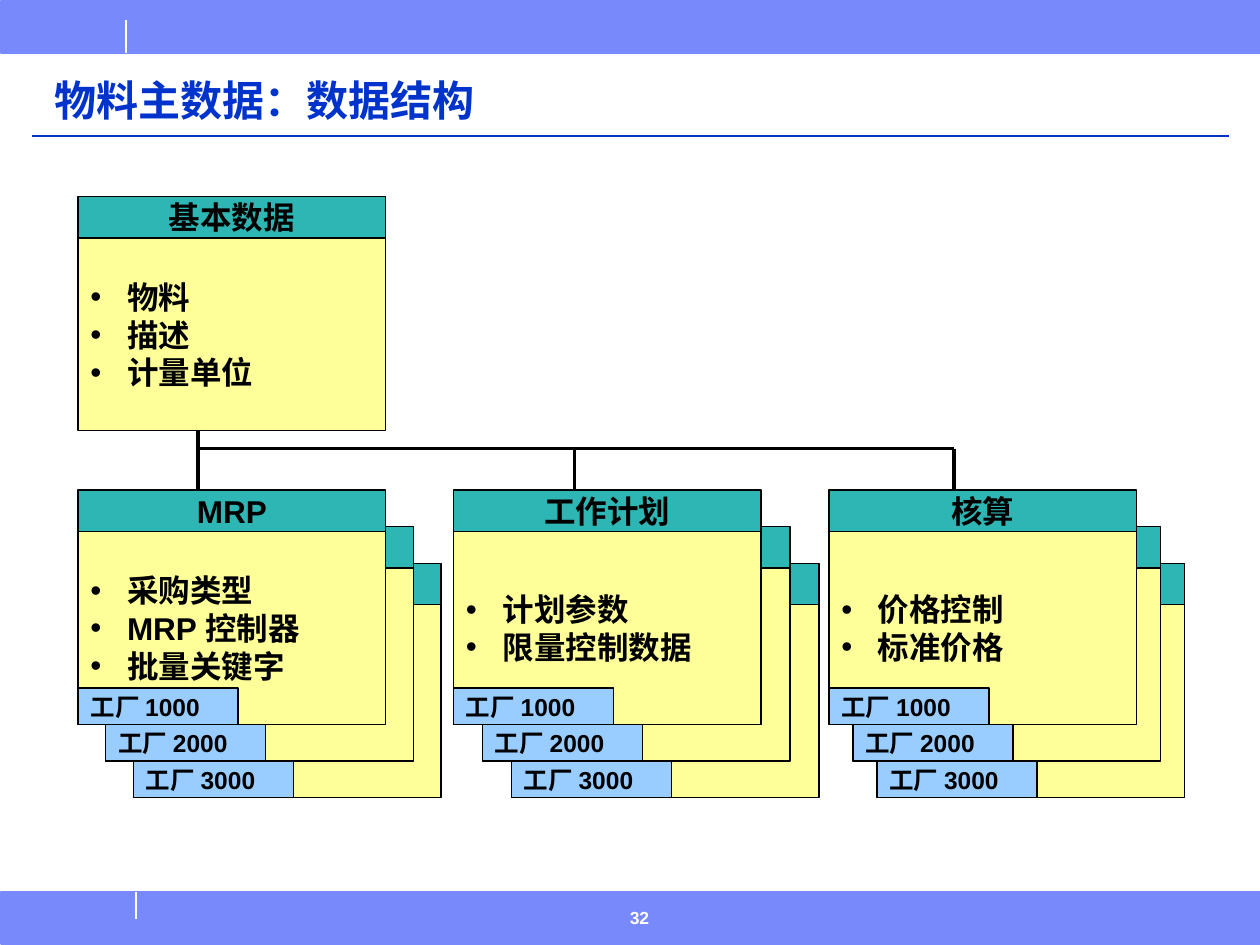
from dataclasses import dataclass

from lxml import etree
from pptx import Presentation
from pptx import util as u
from pptx.dml import color
from pptx.enum import shapes, text
from pptx.oxml import ns


@dataclass(frozen=True)
class Theme:
    """Colours, fonts and type sizes of the slide."""
    band: str = "7889FB"
    title: str = "0033CC"
    header: str = "2DB6B3"
    body: str = "FFFF99"
    tag: str = "99CCFF"
    ink: str = "000000"
    white: str = "FFFFFF"
    latin: str = "Arial"
    chinese: str = "Noto Sans CJK SC"
    title_size: int = 24
    card_size: int = 18
    tag_size: int = 14
    page_size: int = 10


THEME = Theme()
CARD_WIDTH, HEADER_HEIGHT, BODY_HEIGHT = 2.44, 0.33, 1.53
TAG_WIDTH, TAG_HEIGHT, TAG_DROP = 1.27, 0.29, 1.57
FIRST_LEFT, COLUMN_STEP, STACK_TOP, LAYER_STEP = 0.62, 2.98, 3.89, 0.29
PLANTS = ("工厂 1000", "工厂 2000", "工厂 3000")
STACKS = (
    ("MRP", ("采购类型", "MRP 控制器", "批量关键字"), 0.22),
    ("工作计划", ("计划参数", "限量控制数据"), 0.23),
    ("核算", ("价格控制", "标准价格"), 0.19),
)


def rgb(value):
    """Return a colour for a hex string."""
    return color.RGBColor.from_string(value)


def add_bullet(para):
    """Give a paragraph a hanging round bullet."""
    props = para._p.get_or_add_pPr()
    props.set("marL", str(u.Inches(0.29)))
    props.set("indent", str(-u.Inches(0.29)))
    etree.SubElement(props, ns.qn("a:buFont"), typeface=THEME.latin)
    etree.SubElement(props, ns.qn("a:buChar"), char="•")


def write_text(box, lines, size, ink=THEME.ink, latin=THEME.latin, align=text.PP_ALIGN.LEFT,
               anchor=text.MSO_ANCHOR.MIDDLE, bullets=False, spacing=None):
    """Fill a shape with bold lines in one format."""
    frame = box.text_frame
    frame.word_wrap = True
    frame.auto_size = text.MSO_AUTO_SIZE.NONE
    frame.vertical_anchor = anchor
    for index, line in enumerate(lines):
        para = frame.add_paragraph() if index else frame.paragraphs[0]
        if bullets:
            add_bullet(para)
        para.alignment = align
        para.line_spacing = spacing
        span = para.add_run()
        span.text = line
        span.font.name = latin
        span.font.size = u.Pt(size)
        span.font.bold = True
        span.font.color.rgb = rgb(ink)
        etree.SubElement(span._r.get_or_add_rPr(), ns.qn("a:ea"), typeface=THEME.chinese)


def add_box(slide, left, top, width, height, fill, line=THEME.ink, weight=0.75):
    """Add a filled and outlined rectangle."""
    box = slide.shapes.add_shape(shapes.MSO_SHAPE.RECTANGLE, u.Inches(left), u.Inches(top),
                                 u.Inches(width), u.Inches(height))
    box.shadow.inherit = False
    box.fill.solid()
    box.fill.fore_color.rgb = rgb(fill)
    box.line.color.rgb = rgb(line)
    box.line.width = u.Pt(weight)
    return box


def add_line(slide, start, end, ink=THEME.ink, weight=2):
    """Add a straight line between two points."""
    line = slide.shapes.add_connector(shapes.MSO_CONNECTOR.STRAIGHT,
                                      *(u.Inches(value) for value in (*start, *end)))
    line.line.color.rgb = rgb(ink)
    line.line.width = u.Pt(weight)
    etree.SubElement(line._element.spPr, ns.qn("a:effectLst"))


def add_card(slide, left, top, heading=None, items=()):
    """Add a card with a header strip and a bulleted body."""
    body = add_box(slide, left, top + HEADER_HEIGHT, CARD_WIDTH, BODY_HEIGHT, THEME.body)
    header = add_box(slide, left, top, CARD_WIDTH, HEADER_HEIGHT, THEME.header)
    if heading:
        write_text(body, items, THEME.card_size, bullets=True)
        write_text(header, [heading], THEME.card_size, align=text.PP_ALIGN.CENTER)


def add_stack(slide, left, heading, items, shift):
    """Add one card per plant, from the back layer to the front."""
    for layer in reversed(range(len(PLANTS))):
        card_left, card_top = left + layer * shift, STACK_TOP + layer * LAYER_STEP
        content = () if layer else (heading, items)
        add_card(slide, card_left, card_top, *content)
        tag = add_box(slide, card_left, card_top + TAG_DROP, TAG_WIDTH, TAG_HEIGHT, THEME.tag)
        write_text(tag, [PLANTS[layer]], THEME.tag_size)


def add_tree(slide):
    """Join the basic data card to the three stacks."""
    bus_top = 3.56
    lefts = (1.57, 4.56, 7.57)
    add_line(slide, (lefts[0], 3.22), (lefts[0], bus_top))
    add_line(slide, (lefts[0], bus_top), (lefts[-1], bus_top))
    for left in lefts:
        add_line(slide, (left, bus_top), (left, STACK_TOP))


def add_frame(slide):
    """Add the bands, rules and page number around the content."""
    for top in (0.01, 7.08):
        add_box(slide, 0.01, top, 9.99, 0.41, THEME.band, THEME.band, 1)
    add_line(slide, (1, 0.16), (1, 0.42), THEME.white, 1)
    add_line(slide, (1.08, 7.08), (1.08, 7.29), THEME.white, 1)
    add_line(slide, (0.25, 1.08), (9.75, 1.08), THEME.title, 1)
    page = slide.shapes.add_textbox(u.Inches(4.9), u.Inches(7.15), u.Inches(0.83), u.Inches(0.35))
    write_text(page, ["32"], THEME.page_size, THEME.white, anchor=text.MSO_ANCHOR.TOP)


def set_title(slide, wording):
    """Place and format the title placeholder."""
    title = slide.shapes.title
    title.left, title.top = u.Inches(0.33), u.Inches(0.5)
    title.width, title.height = u.Inches(9.18), u.Inches(0.55)
    write_text(title, [wording], THEME.title_size, THEME.title, THEME.chinese,
               anchor=text.MSO_ANCHOR.BOTTOM, spacing=0.9)


def main():
    """Build the slide and save the deck."""
    deck = Presentation()
    deck.slide_width, deck.slide_height = u.Inches(10), u.Inches(7.5)
    slide = deck.slides.add_slide(deck.slide_layouts[5])
    add_frame(slide)
    set_title(slide, "物料主数据：数据结构")
    for column, stack in enumerate(STACKS):
        add_stack(slide, FIRST_LEFT + column * COLUMN_STEP, *stack)
    add_tree(slide)
    add_card(slide, FIRST_LEFT, 1.56, "基本数据", ("物料", "描述", "计量单位"))
    deck.save("out.pptx")


if __name__ == "__main__":
    main()
